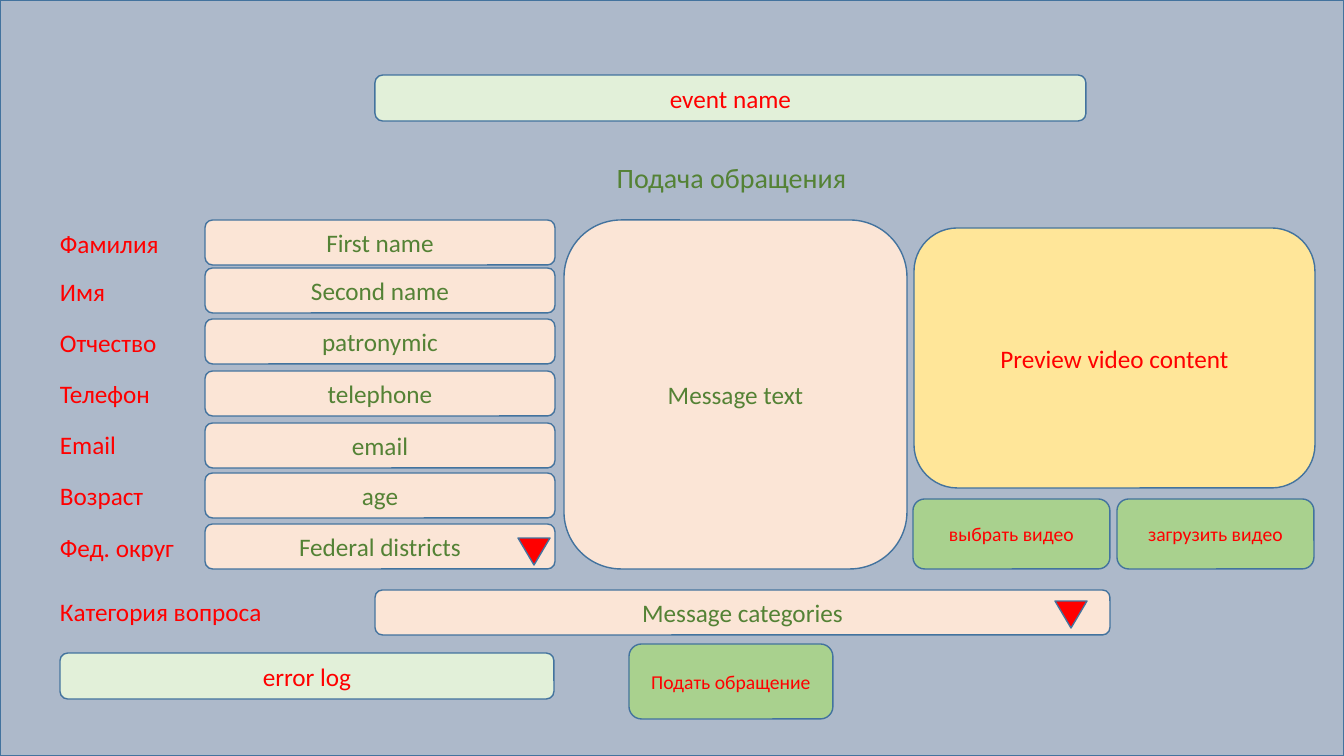
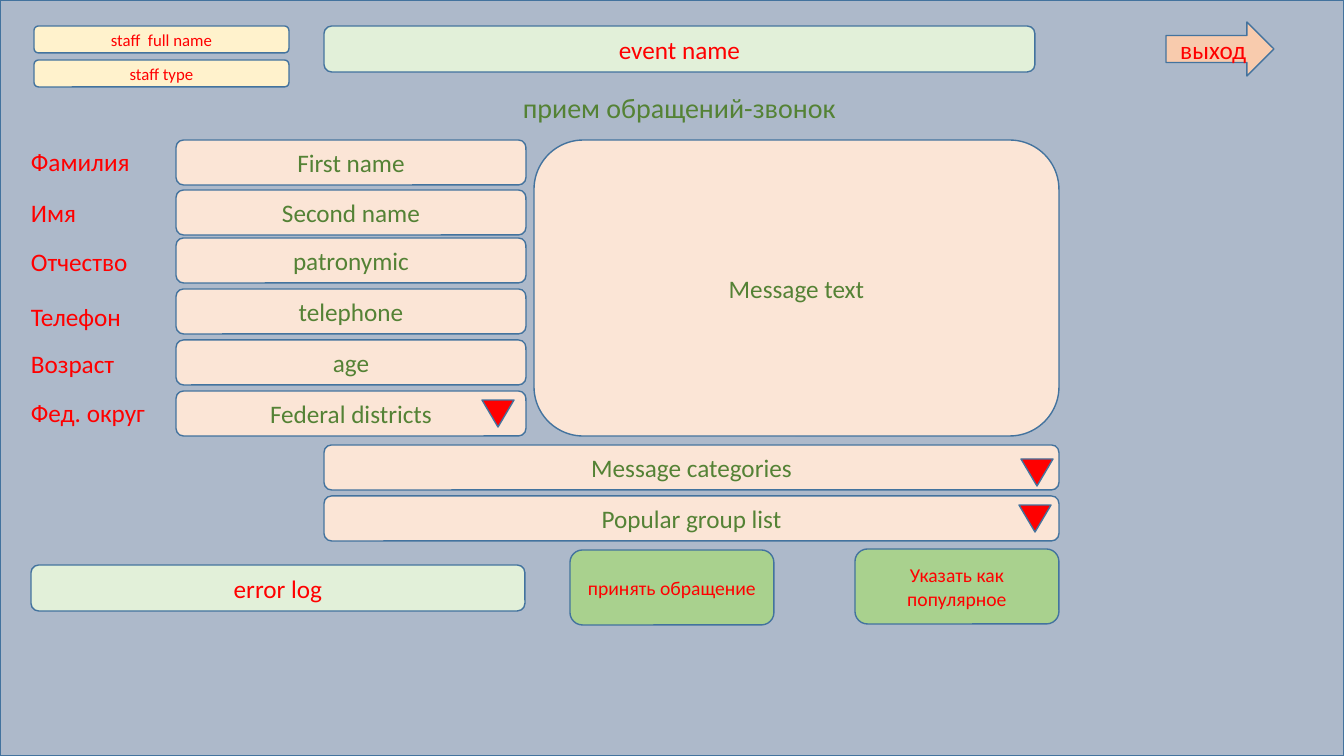
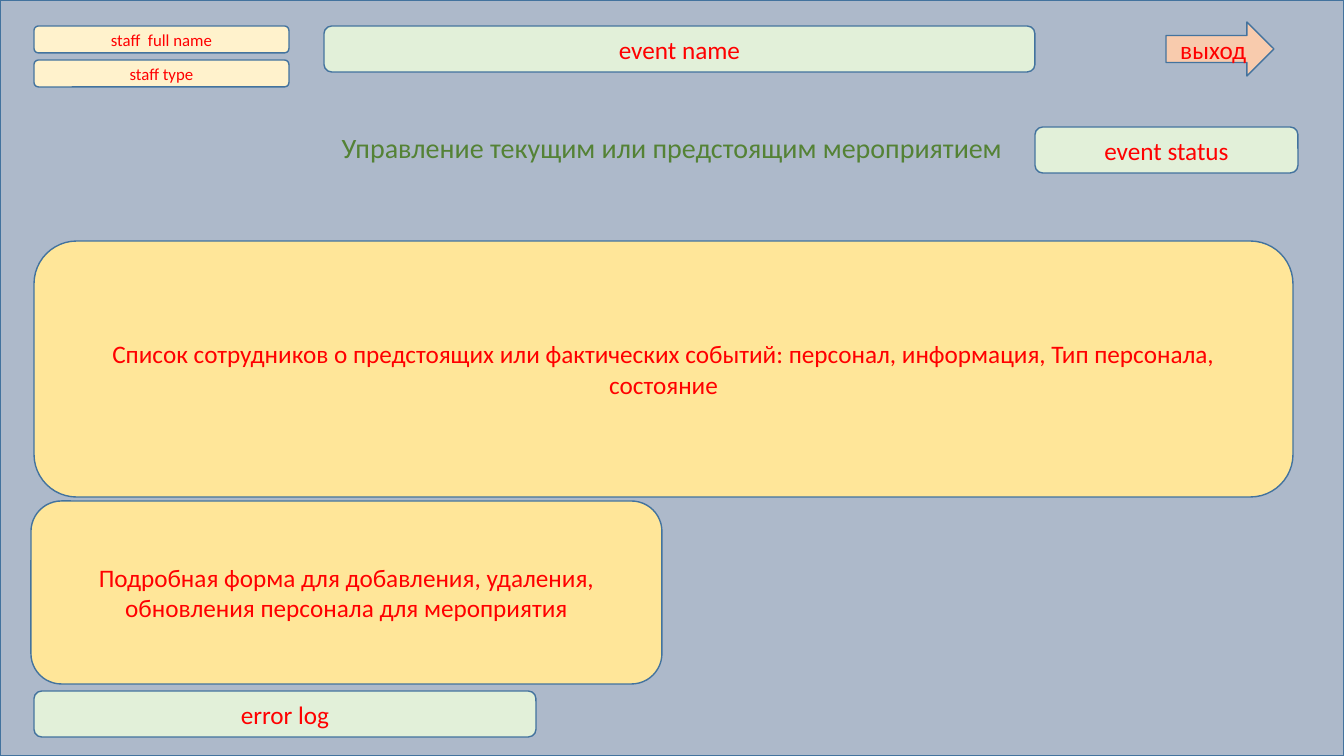
"""Builds three form mock-ups for collecting appeals and managing an event."""
from pptx import Presentation
from pptx.dml.color import RGBColor
from pptx.enum.shapes import MSO_SHAPE
from pptx.enum.text import MSO_ANCHOR, MSO_AUTO_SIZE, PP_ALIGN
from pptx.util import Emu, Pt

RECT = MSO_SHAPE.RECTANGLE
ROUND = MSO_SHAPE.ROUNDED_RECTANGLE
ARROW = MSO_SHAPE.RIGHT_ARROW
MARK = MSO_SHAPE.ISOSCELES_TRIANGLE
LEFT, MID = PP_ALIGN.LEFT, PP_ALIGN.CENTER
CENTER = MSO_ANCHOR.MIDDLE
GROW = MSO_AUTO_SIZE.SHAPE_TO_FIT_TEXT

STEEL = RGBColor(0xAD, 0xB9, 0xCA)
EDGE = RGBColor(0x43, 0x73, 0x9E)
RED = RGBColor(0xFF, 0x00, 0x00)
GREEN = RGBColor(0x54, 0x82, 0x35)
MINT = RGBColor(0xE2, 0xF0, 0xD9)
PEACH = RGBColor(0xFB, 0xE5, 0xD6)
LEAF = RGBColor(0xA9, 0xD1, 0x8E)
GOLD = RGBColor(0xFF, 0xE6, 0x99)
CREAM = RGBColor(0xFF, 0xF2, 0xCC)
CORAL = RGBColor(0xF8, 0xCB, 0xAD)

FONT = "Calibri"
PX = 12192000 / 1344
WIDE, HIGH = 1344, 756
BAR, ROW = 46, 45


def put(page, area, text, fill=None, color=RED, size=18, align=MID, kind=ROUND):
    """Adds a filled shape, or a plain text box when no fill is given."""
    spot = [Emu(round(n * PX)) for n in area]
    if fill is None:
        shape = page.shapes.add_textbox(*spot)
    else:
        shape = page.shapes.add_shape(kind, *spot)
        shape.shadow.inherit = False
        shape.fill.solid()
        shape.fill.fore_color.rgb = fill
        shape.line.color.rgb = EDGE
        shape.line.width = Pt(1)
    if text:
        frame = shape.text_frame
        frame.word_wrap = True
        if fill is None:
            frame.auto_size = GROW
        else:
            frame.vertical_anchor = CENTER
        para = frame.paragraphs[0]
        para.alignment = align
        run = para.add_run()
        run.text = text
        run.font.name = FONT
        run.font.size = Pt(size)
        run.font.color.rgb = color
    return shape


def form(page, left, rows, marks):
    """Adds labelled entry fields and the red list markers."""
    for label, high, field, top in rows:
        put(page, (left, high, 156, 40), label, align=LEFT)
        put(page, (left + 155, top, 350, ROW), field, PEACH, GREEN)
    for x, y in marks:
        put(page, (x, y, 32, 27), "", RED, kind=MARK).rotation = 180


deck = Presentation()
deck.slide_width, deck.slide_height = Emu(round(WIDE * PX)), Emu(round(HIGH * PX))

heads = [
    ("Подача обращения", (586, 156, 291, 44), (375, 75)),
    ("прием обращений-звонок", (486, 86, 387, 44), (324, 26)),
    ("Управление текущим или предстоящим мероприятием", (316, 126, 712, 44), (324, 26)),
]
logs = [(60, 653, 494), (31, 565, 494), (34, 691, 502)]
pages = []
for (title, area, (x, y)), (left, top, width) in zip(heads, logs):
    page = deck.slides.add_slide(deck.slide_layouts[6])
    put(page, (0, 0, WIDE, HIGH), "", STEEL, kind=RECT)
    put(page, (x, y, 711, BAR), "event name", MINT)
    put(page, area, title, color=GREEN, size=20)
    put(page, (left, top, width, BAR), "error log", MINT)
    pages.append(page)
appeal, call, event = pages

for page in (call, event):
    put(page, (34, 26, 255, 27), "staff  full name", CREAM, size=12)
    put(page, (34, 60, 255, 27), "staff type", CREAM, size=12)
    put(page, (1166, 22, 108, 54), "выход", CORAL, kind=ARROW)

put(appeal, (564, 220, 343, 349), "Message text", PEACH, GREEN)
put(appeal, (914, 228, 401, 260), "Preview video content", GOLD)
put(appeal, (375, 590, 735, ROW), "Message categories", PEACH, GREEN)
put(appeal, (50, 591, 233, 40), "Категория вопроса", align=LEFT)
for x, text in ((913, "выбрать видео"), (1117, "загрузить видео")):
    put(appeal, (x, 499, 197, 70), text, LEAF, size=14)
put(appeal, (629, 644, 204, 75), "Подать обращение", LEAF, size=14)
form(appeal, 50, [
    ("Фамилия", 223, "First name", 220),
    ("Имя", 271, "Second name", 268),
    ("Отчество", 322, "patronymic", 319),
    ("Телефон", 373, "telephone", 371),
    ("Email", 424, "email", 423),
    ("Возраст", 475, "age", 473),
    ("Фед. округ", 527, "Federal districts", 524),
], [(518, 538), (1055, 601)])

put(call, (534, 140, 525, 296), "Message text", PEACH, GREEN)
for y, text in ((445, "Message categories"), (496, "Popular group list")):
    put(call, (324, y, 735, ROW), text, PEACH, GREEN)
put(call, (570, 550, 204, 75), "принять обращение", LEAF, size=14)
put(call, (855, 549, 204, 75), "Указать как популярное", LEAF, size=14)
form(call, 21, [
    ("Фамилия", 141, "First name", 140),
    ("Имя", 192, "Second name", 190),
    ("Отчество", 241, "patronymic", 238),
    ("Телефон", 296, "telephone", 289),
    ("Возраст", 343, "age", 340),
    ("Фед. округ", 392, "Federal districts", 391),
], [(482, 400), (1021, 459), (1019, 505)])

put(event, (1035, 127, 263, BAR), "event status", MINT)
put(event, (34, 241, 1259, 256),
    "Список сотрудников о предстоящих или фактических событий: "
    "персонал, информация, Тип персонала, состояние", GOLD)
put(event, (31, 501, 631, 183),
    "Подробная форма для добавления, удаления, "
    "обновления персонала для мероприятия", GOLD)

deck.save("out.pptx")
